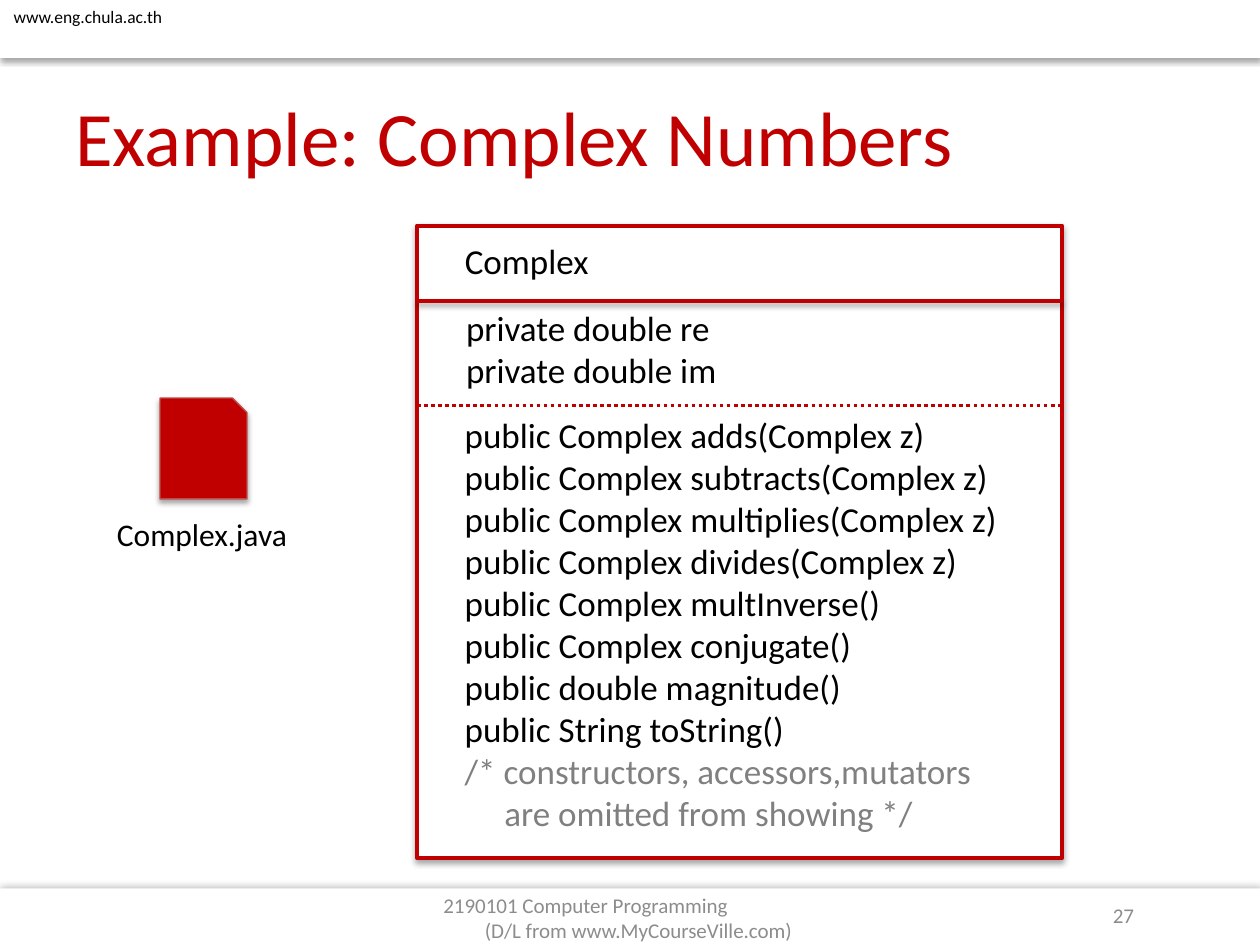
from lxml.etree import SubElement
from pptx import Presentation
from pptx.dml.color import RGBColor
from pptx.enum.dml import MSO_LINE as Dash
from pptx.enum.shapes import MSO_CONNECTOR as Link, MSO_SHAPE as Form
from pptx.enum.text import MSO_ANCHOR as Anchor, MSO_AUTO_SIZE as Auto, PP_ALIGN as Align
from pptx.oxml.ns import qn
from pptx.util import Inches, Pt

WHITE = RGBColor(0xFF, 0xFF, 0xFF)
BLACK = RGBColor(0, 0, 0)
RED = RGBColor(0xC0, 0, 0)
EDGE = RGBColor(0xBF, 0x4C, 0x48)
GREY = RGBColor(0x80, 0x80, 0x80)
PALE = RGBColor(0x8C, 0x8C, 0x8C)
COLS, ROWS = 100, 75
UNIT = Inches(10) // COLS
DROP = (35, 3.1, 1.8, 90)

FIELDS = ["private double re", "private double im"]
METHODS = [
    "public Complex adds(Complex z)",
    "public Complex subtracts(Complex z)",
    "public Complex multiplies(Complex z)",
    "public Complex divides(Complex z)",
    "public Complex multInverse()",
    "public Complex conjugate()",
    "public double magnitude()",
    "public String toString()",
    "/* constructors, accessors,mutators",
    "     are omitted from showing */",
]


def grid(*marks):
    return [round(mark * UNIT) for mark in marks]


def shade(part, cast=None):
    props = part._element.spPr
    for old in props.findall(qn("a:effectLst")):
        props.remove(old)
    fx = SubElement(props, qn("a:effectLst"))
    if cast:
        alpha, blur, dist, turn = cast
        drop = SubElement(fx, qn("a:outerShdw"), blurRad=str(Pt(blur)),
                          dist=str(Pt(dist)), dir=str(turn * 60000), rotWithShape="0")
        tint = SubElement(drop, qn("a:srgbClr"), val=str(BLACK))
        SubElement(tint, qn("a:alpha"), val=str(alpha * 1000))


def block(slide, form, box, fill, edge=None, width=0, cast=DROP):
    part = slide.shapes.add_shape(form, *grid(*box))
    part.fill.solid()
    part.fill.fore_color.rgb = fill
    if edge is None:
        part.line.fill.background()
    else:
        part.line.color.rgb = edge
        part.line.width = Pt(width)
    shade(part, cast)


def rule(slide, left, right, row, dash=None, cast=None):
    part = slide.shapes.add_connector(Link.STRAIGHT, *grid(left, row, right, row))
    part.line.color.rgb = RED
    part.line.width = Pt(2)
    if dash is not None:
        part.line.dash_style = dash
    shade(part, cast)


def write(slide, box, lines, size, color=BLACK, wrap=False, anchor=Anchor.TOP, align=Align.LEFT):
    frame = slide.shapes.add_textbox(*grid(*box)).text_frame
    frame.text = "\n".join(lines)
    frame.word_wrap = wrap
    frame.auto_size = Auto.NONE if wrap else Auto.SHAPE_TO_FIT_TEXT
    frame.vertical_anchor = anchor
    for para in frame.paragraphs:
        para.alignment = align
        for run in para.runs:
            run.font.name = "Calibri"
            run.font.size = Pt(size)
            run.font.color.rgb = color
    return frame


def header(slide, box):
    x, y, w, h = box
    block(slide, Form.RECTANGLE, box, WHITE)
    write(slide, (x + 0.1, y, 14, 2.7), ["www.eng.chula.ac.th"], 10)


def title(slide, box):
    write(slide, box, ["Example: Complex Numbers"], 44, RED, True, Anchor.MIDDLE)


def footer(slide, box):
    x, y, w, h = box
    block(slide, Form.RECTANGLE, box, WHITE, cast=(40, 5, 0, 0))
    write(slide, (x + 0.717 * w, y + 0.1, 19.3, 4), ["27"], 12, PALE, True, Anchor.MIDDLE, Align.RIGHT)
    note = write(slide, (x + 0.342 * w, y + 0.3, 31.7, 4),
                 ["2190101 Computer Programming", "(D/L from www.MyCourseVille.com)"],
                 12, PALE, True, Anchor.MIDDLE)
    props = note.paragraphs[1]._p.get_or_add_pPr()
    props.set("marL", str(grid(3.3)[0]))


def source(slide, box):
    x, y, w, h = box
    block(slide, Form.SNIP_1_RECTANGLE, (x + 4.4, y, 6.9, 8), RED, EDGE, 0.75)
    write(slide, (x, y + 8.8, w, 4), ["Complex.java"], 18)


def diagram(slide, box):
    x, y, w, h = box
    head, mid = y + 6, y + 14.3
    left = x + 2.8
    block(slide, Form.RECTANGLE, box, WHITE, RED, 2.25)
    rule(slide, x, x + w, head, cast=(38, 3.1, 1.6, 90))
    write(slide, (left, y + 0.6, 11.9, 4.4), ["Complex"], 20)
    write(slide, (left + 0.1, head - 0.1, 22.1, 7.7), FIELDS, 20)
    rule(slide, x, x + w, mid, Dash.ROUND_DOT)
    body = write(slide, (left, mid + 0.1, 44.7, 34.7), METHODS, 20)
    for para in body.paragraphs[-2:]:
        para.runs[0].font.color.rgb = GREY


def main():
    deck = Presentation()
    deck.slide_width, deck.slide_height = grid(COLS, ROWS)
    slide = deck.slides.add_slide(deck.slide_layouts[6])
    footer(slide, (0, 70.5, COLS, 4.6))
    header(slide, (0, 0, COLS, 4.6))
    title(slide, (5, 6.1, 78, 9.4))
    source(slide, (8.3, 31.6, 15.6, 12.8))
    diagram(slide, (33.1, 17.9, 51.2, 50.2))
    deck.save("out.pptx")


if __name__ == "__main__":
    main()
